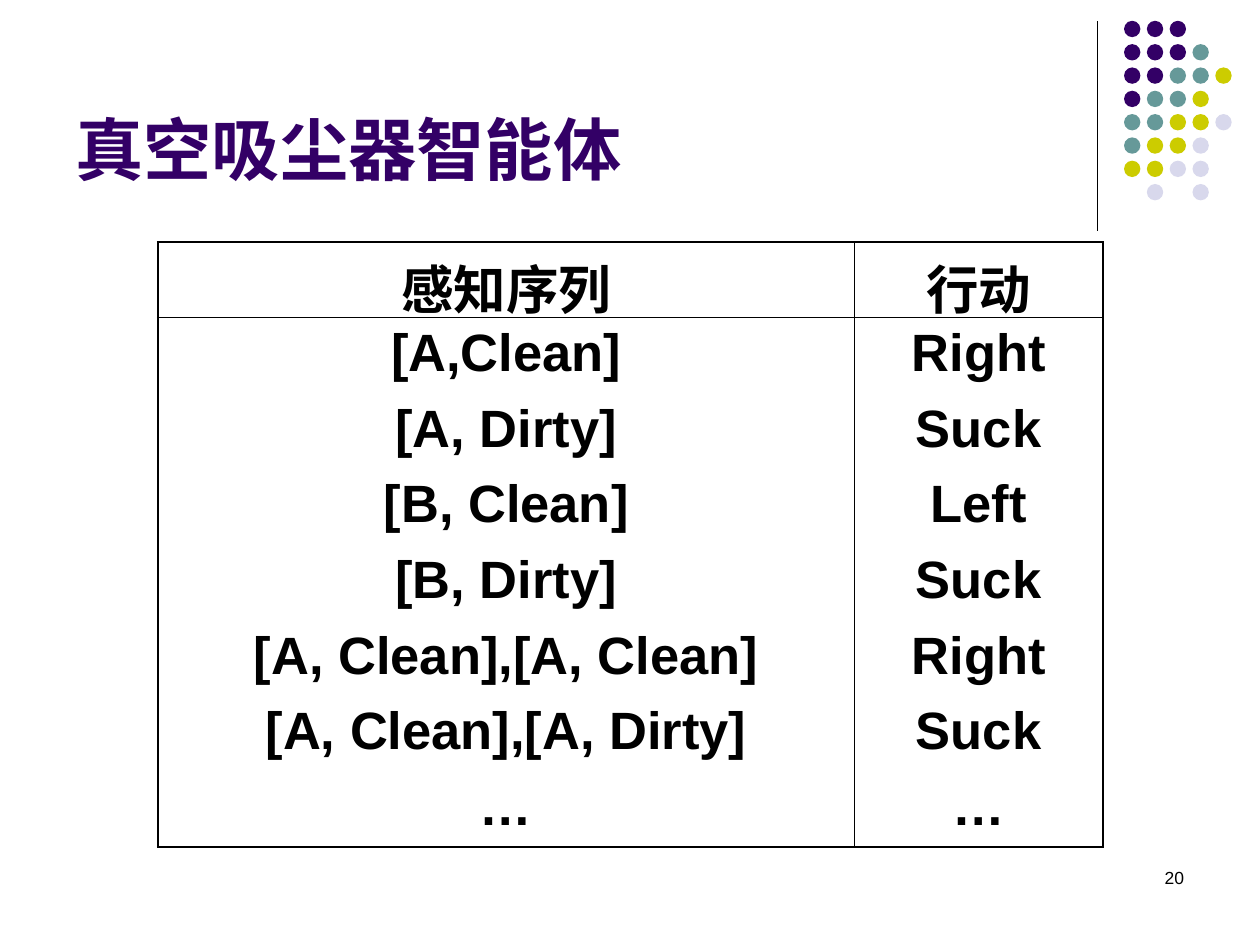
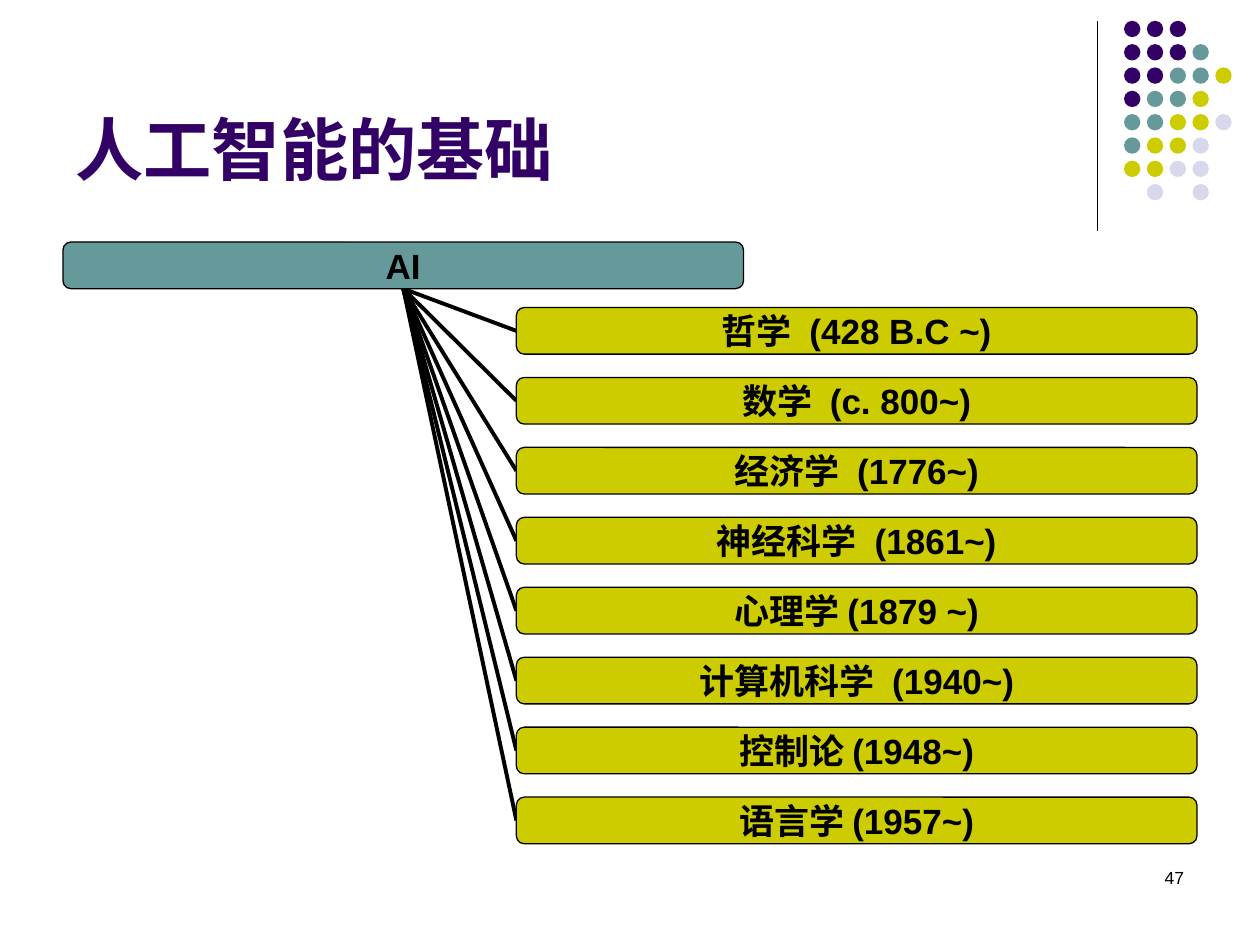
from dataclasses import dataclass

from lxml.etree import SubElement
from pptx import Presentation
from pptx.dml.color import RGBColor
from pptx.enum.lang import MSO_LANGUAGE_ID
from pptx.enum.shapes import MSO_CONNECTOR, MSO_SHAPE
from pptx.enum.text import MSO_ANCHOR, PP_ALIGN
from pptx.oxml.ns import qn
from pptx.util import Cm, Pt


@dataclass(frozen=True)
class Theme:
    """Colours, font and type sizes shared by the slides."""
    ink: str = "000000"
    purple: str = "330066"
    teal: str = "669999"
    olive: str = "CCCC00"
    lilac: str = "D8D8EC"
    font: str = "Arial"
    title: int = 39
    table: int = 30
    label: int = 20
    number: int = 10
    thin: float = 0.45
    fine: float = 0.75
    edge: float = 1.08
    thick: float = 2.25


DOT_ROWS = ("PPP", "PPPT", "PPTTY", "PTTY", "TTYYL", "TYYL", "YYLL", " L L")
PERCEPTS = (
    ("感知序列", "行动"),
    ("[A,Clean]", "Right"),
    ("[A, Dirty]", "Suck"),
    ("[B, Clean]", "Left"),
    ("[B, Dirty]", "Suck"),
    ("[A, Clean],[A, Clean]", "Right"),
    ("[A, Clean],[A, Dirty]", "Suck"),
    ("…", "…"),
)
WIDE_GAP, NARROW_GAP = 5.56, 0
FOUNDATIONS = (
    ("哲学", WIDE_GAP, "(428 B.C ~)"),
    ("数学", WIDE_GAP, "(c. 800~)"),
    ("经济学", WIDE_GAP, "(1776~)"),
    ("神经科学", WIDE_GAP, "(1861~)"),
    ("心理学", NARROW_GAP, "(1879 ~)"),
    ("计算机科学", WIDE_GAP, "(1940~)"),
    ("控制论", NARROW_GAP, "(1948~)"),
    ("语言学", NARROW_GAP, "(1957~)"),
)


class Painter:
    """Draws styled elements on the current slide."""

    def __init__(self, deck, theme):
        """Keep the deck and its theme."""
        self.deck = deck
        self.theme = theme
        self.page = None

    def start_page(self, title, number):
        """Add a slide with the shared decoration, title and number."""
        theme = self.theme
        self.page = self.deck.slides.add_slide(self.deck.slide_layouts[6])
        self.line(22.12, 0.43, 22.12, 4.65, theme.fine)
        self.dots()
        self.text(18.2, 17.35, 5.92, 1.27, number, theme.number, align=PP_ALIGN.RIGHT)
        self.text(1.27, 0.33, 20.96, 3.61, title, theme.title, theme.purple,
                  bold=True, anchor=MSO_ANCHOR.BOTTOM)

    def dots(self):
        """Draw the corner pattern of coloured dots."""
        theme = self.theme
        colours = {"P": theme.purple, "T": theme.teal, "Y": theme.olive, "L": theme.lilac}
        for row, codes in enumerate(DOT_ROWS):
            for column, code in enumerate(codes):
                if code in colours:
                    self.shape(MSO_SHAPE.OVAL, 22.66 + 0.46 * column, 0.42 + 0.47 * row,
                               0.33, 0.33, colours[code])

    def shape(self, kind, left, top, width, height, fill):
        """Draw a filled preset shape without outline."""
        shape = self.page.shapes.add_shape(kind, Cm(left), Cm(top), Cm(width), Cm(height))
        shape.shadow.inherit = False
        shape.fill.solid()
        shape.fill.fore_color.rgb = RGBColor.from_string(fill)
        shape.line.fill.background()
        return shape

    def line(self, x1, y1, x2, y2, weight):
        """Draw a straight connector."""
        line = self.page.shapes.add_connector(
            MSO_CONNECTOR.STRAIGHT, Cm(x1), Cm(y1), Cm(x2), Cm(y2))
        line.line.color.rgb = RGBColor.from_string(self.theme.ink)
        line.line.width = Pt(weight)
        SubElement(line._element.spPr, qn("a:effectLst"))
        return line

    def span(self, para, text, size, colour=None, bold=False, spacing=0):
        """Add one styled run, with extra letter spacing in points."""
        span = para.add_run()
        span.text = text
        font = span.font
        font.name, font.size, font.bold = self.theme.font, Pt(size), bold
        font.color.rgb = RGBColor.from_string(colour or self.theme.ink)
        font.language_id = MSO_LANGUAGE_ID.SIMPLIFIED_CHINESE
        if spacing:
            span._r.get_or_add_rPr().set("spc", str(round(spacing * 100)))

    def text(self, left, top, width, height, text, size, colour=None, bold=False,
             align=PP_ALIGN.LEFT, anchor=MSO_ANCHOR.TOP):
        """Add a wrapped text box of one paragraph."""
        box = self.page.shapes.add_textbox(Cm(left), Cm(top), Cm(width), Cm(height))
        frame = box.text_frame
        frame.word_wrap = True
        frame.vertical_anchor = anchor
        para = frame.paragraphs[0]
        para.alignment = align
        self.span(para, text, size, colour, bold)

    def label_box(self, left, top, width, height, fill, spans):
        """Draw a rounded box; spans are pairs of text and letter spacing."""
        box = self.shape(MSO_SHAPE.ROUNDED_RECTANGLE, left, top, width, height, fill)
        box.adjustments[0] = 0.17
        box.line.color.rgb = RGBColor.from_string(self.theme.ink)
        box.line.width = Pt(self.theme.fine)
        frame = box.text_frame
        frame.word_wrap = False
        frame.vertical_anchor = MSO_ANCHOR.MIDDLE
        frame.margin_left = frame.margin_right = frame.margin_top = frame.margin_bottom = 0
        para = frame.paragraphs[0]
        para.alignment = PP_ALIGN.CENTER
        for text, spacing in spans:
            self.span(para, text, self.theme.label, bold=True, spacing=spacing)
        return box

    def borders(self, cell, weights):
        """Set the cell borders by side; a weight of zero hides the border."""
        properties = cell._tc.get_or_add_tcPr()
        for side, weight in weights.items():
            border = SubElement(properties, qn(f"a:ln{side}"), w=str(Pt(weight)))
            if weight:
                fill = SubElement(border, qn("a:solidFill"))
                SubElement(fill, qn("a:srgbClr"), val=self.theme.ink)
            else:
                SubElement(border, qn("a:noFill"))

    def table(self, left, top, widths, row_height, rows):
        """Add a table with an outer frame, column rules and a header rule."""
        theme = self.theme
        table = self.page.shapes.add_table(
            len(rows), len(widths), Cm(left), Cm(top),
            Cm(sum(widths)), Cm(row_height * len(rows))).table
        table.first_row = table.horz_banding = False
        for column, width in zip(table.columns, widths):
            column.width = Cm(width)
        last_row, last_column = len(rows) - 1, len(widths) - 1
        for r, row in enumerate(rows):
            table.rows[r].height = Cm(row_height)
            for c, text in enumerate(row):
                cell = table.cell(r, c)
                self.borders(cell, {
                    "L": theme.edge if c == 0 else theme.thin,
                    "R": theme.edge if c == last_column else theme.thin,
                    "T": {0: theme.edge, 1: theme.thin}.get(r, 0),
                    "B": {0: theme.thin, last_row: theme.edge}.get(r, 0),
                })
                cell.fill.background()
                para = cell.text_frame.paragraphs[0]
                para.alignment = PP_ALIGN.CENTER
                self.span(para, text, theme.table, bold=True)


def vacuum_agent(painter):
    """Build the slide with the percept and action table."""
    painter.start_page("真空吸尘器智能体", "20")
    painter.table(3.18, 4.88, (14.05, 5), 1.52, PERCEPTS)


def foundations(painter):
    """Build the slide with the fields that AI rests on."""
    theme = painter.theme
    painter.start_page("人工智能的基础", "47")
    width, height = 13.72, 0.94
    root_left, root_top, field_left = 1.27, 4.88, 10.41
    tops = [6.2 + 1.41 * index for index in range(len(FOUNDATIONS))]
    links = [painter.line(root_left + width / 2, root_top + height,
                          field_left, top + height / 2, theme.thick) for top in tops]
    root = painter.label_box(root_left, root_top, width, height, theme.teal, [("AI", 0)])
    for link, top, (name, gap, dates) in zip(links, tops, FOUNDATIONS):
        field = painter.label_box(field_left, top, width, height, theme.olive,
                                  [(name, 0), (" ", gap), (dates, 0)])
        link.begin_connect(root, 2)
        link.end_connect(field, 1)


def main():
    """Build and save the deck."""
    deck = Presentation()
    deck.slide_width, deck.slide_height = Cm(25.4), Cm(19.05)
    painter = Painter(deck, Theme())
    vacuum_agent(painter)
    foundations(painter)
    deck.save("out.pptx")


if __name__ == "__main__":
    main()
